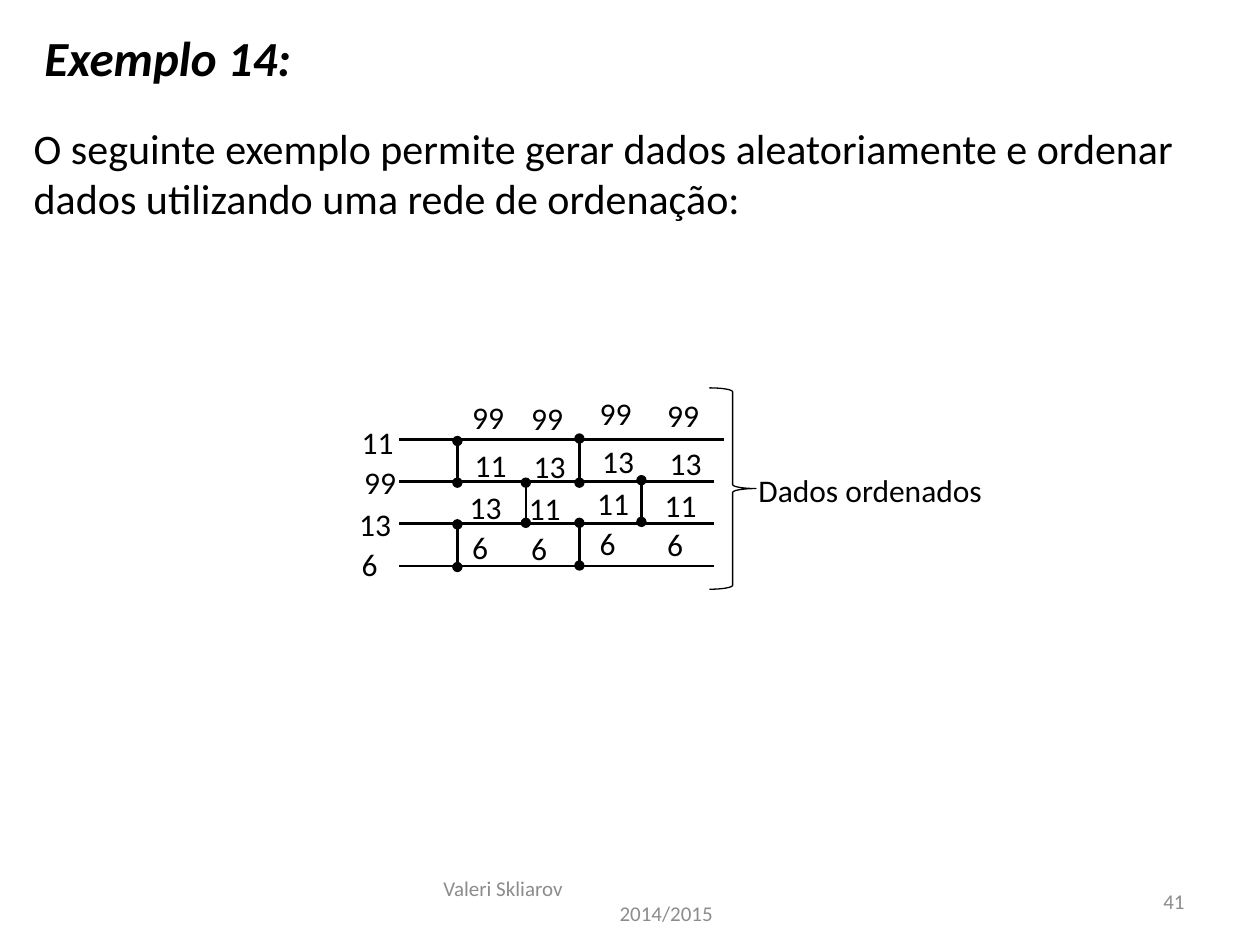
import pptx
import pptx.dml.color
import pptx.enum.shapes
import pptx.enum.text
import pptx.oxml
import pptx.util
from pptx.util import Cm

ALIGN = pptx.enum.text.PP_ALIGN
ANCHOR = pptx.enum.text.MSO_ANCHOR
NAMESPACE = 'xmlns:a="http://schemas.openxmlformats.org/drawingml/2006/main"'


def color(hex_string):
    return pptx.dml.color.RGBColor.from_string(hex_string)


def write(shape, text, size, hex_string="000000", wrap=False, align=ALIGN.LEFT, anchor=ANCHOR.TOP):
    frame = shape.text_frame
    frame.text = text
    frame.word_wrap = wrap
    frame.auto_size = pptx.enum.text.MSO_AUTO_SIZE.NONE
    frame.vertical_anchor = anchor
    for paragraph in frame.paragraphs:
        paragraph.alignment = align
        paragraph.font.name = "Calibri"
        paragraph.font.size = pptx.util.Pt(size)
        paragraph.font.color.rgb = color(hex_string)
    return frame


presentation = pptx.Presentation()
presentation.slide_width = Cm(25.4)
presentation.slide_height = Cm(19.05)
slide = presentation.slides.add_slide(presentation.slide_layouts[5])
shapes = slide.shapes

title = shapes.title
title.left, title.top, title.width, title.height = Cm(0.64), Cm(0.43), Cm(5.54), Cm(1.45)
title_font = write(title, "Exemplo 14:", 28).paragraphs[0].font
title_font.bold = True
title_font.italic = True

description = shapes.add_textbox(Cm(0.43), Cm(2.34), Cm(24.13), Cm(2.31))
write(description, "O seguinte exemplo permite gerar dados aleatoriamente e ordenar "
      "dados utilizando uma rede de ordenação:", 24, wrap=True)

footer = shapes.add_textbox(Cm(8.69), Cm(17.65), Cm(8.05), Cm(1.02))
footer_frame = write(footer, "Valeri Skliarov\n2014/2015", 12, "8C8C8C", True, anchor=ANCHOR.MIDDLE)
footer_frame.paragraphs[1]._p.get_or_add_pPr().set("marL", str(Cm(3.55)))

slide_number = shapes.add_textbox(Cm(18.21), Cm(17.65), Cm(5.92), Cm(1.02))
write(slide_number, "41", 12, "8C8C8C", True, ALIGN.RIGHT, ANCHOR.MIDDLE)

wires = [(8.05, 8.86 + 0.85 * row, 14.6 if row == 0 else 14.4, 8.86 + 0.85 * row, False)
         for row in range(4)]
comparators = [(x, top, x, bottom, True) for x, top, bottom in [
    (9.22, 8.89, 9.73), (9.22, 10.57, 11.43), (10.6, 9.73, 10.54),
    (11.68, 8.84, 9.73), (11.68, 10.54, 11.4), (12.93, 9.68, 10.52)]]
for left, top, right, bottom, has_dots in wires + comparators:
    connector = shapes.add_connector(pptx.enum.shapes.MSO_CONNECTOR.STRAIGHT,
                                     Cm(left), Cm(top), Cm(right), Cm(bottom))
    connector.line.color.rgb = color("000000")
    connector.line.width = pptx.util.Pt(1.5)
    if has_dots:
        for end in ("headEnd", "tailEnd"):
            connector.line._get_or_add_ln().append(
                pptx.oxml.parse_xml(f'<a:{end} {NAMESPACE} type="oval"/>'))
    connector._element.spPr.append(pptx.oxml.parse_xml(f"<a:effectLst {NAMESPACE}/>"))

input_rows = (0, 0.79, 1.65, 2.46)
stage_rows = (0, 0.97, 1.82, 2.61)
shifts = (0, 0.05, -0.05, 0)
columns = [
    (7.04, 8.41, input_rows, ("11", "99", "13", "6")),
    (9.27, 7.9, stage_rows, ("99", "11", "13", "6")),
    (10.46, 7.92, stage_rows, ("99", "13", "11", "6")),
    (11.84, 7.82, stage_rows, ("99", "13", "11", "6")),
    (13.2, 7.85, stage_rows, ("99", "13", "11", "6")),
]
for left, top, rows, values in columns:
    for value, row, shift in zip(values, rows, shifts):
        width = 1.17 if len(value) == 2 else 0.84
        value_box = shapes.add_textbox(Cm(left + shift), Cm(top + row), Cm(width), Cm(1.02))
        write(value_box, value, 18)

brace = shapes.add_shape(pptx.enum.shapes.MSO_SHAPE.RIGHT_BRACE,
                         Cm(14.3), Cm(7.82), Cm(0.94), Cm(4.06))
brace.shadow.inherit = False
brace.fill.background()
brace.line.color.rgb = color("000000")
brace.line.width = pptx.util.Pt(0.75)

result_label = shapes.add_textbox(Cm(15.04), Cm(9.37), Cm(5.08), Cm(1.02))
write(result_label, "Dados ordenados", 18)

presentation.save("out.pptx")
